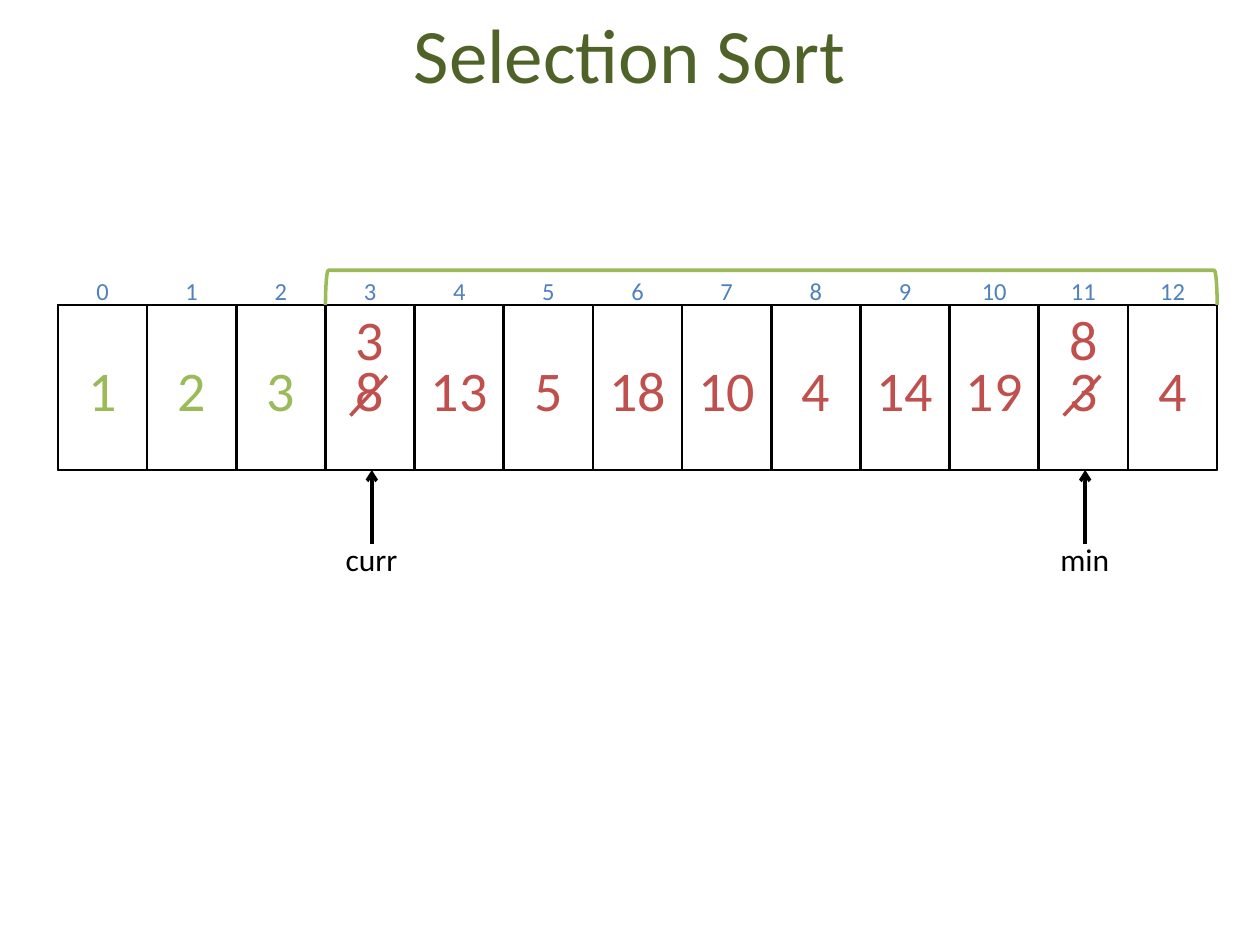
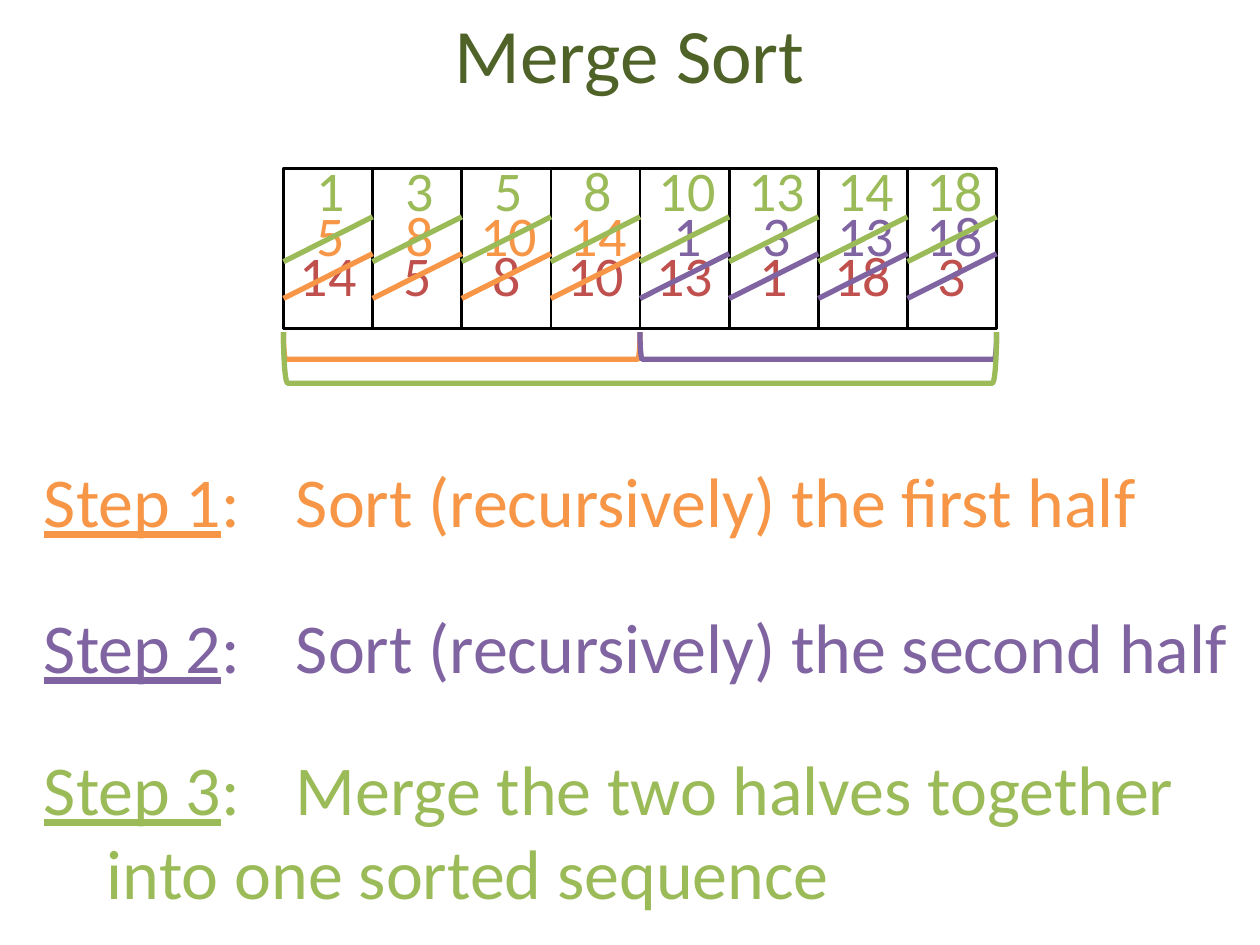
from dataclasses import dataclass

from pptx import Presentation
from pptx.dml.color import RGBColor
from pptx.enum.shapes import MSO_CONNECTOR, MSO_SHAPE
from pptx.enum.text import MSO_ANCHOR, MSO_AUTO_SIZE, PP_ALIGN
from pptx.oxml.ns import qn
from pptx.util import Inches, Pt
from lxml import etree

STRAIGHT = MSO_CONNECTOR.STRAIGHT
RECTANGLE, LEFT_BRACKET = MSO_SHAPE.RECTANGLE, MSO_SHAPE.LEFT_BRACKET
MIDDLE = MSO_ANCHOR.MIDDLE
GROW = MSO_AUTO_SIZE.SHAPE_TO_FIT_TEXT
LEFT, CENTER = PP_ALIGN.LEFT, PP_ALIGN.CENTER

FONT = "Calibri"
COLORS = {
    "title": "4F6228",
    "black": "000000",
    "index": "4F81BD",
    "unsorted": "C0504D",
    "sorted": "9BBB59",
    "first": "F79646",
    "second": "8064A2",
}
NUMBER_HEIGHT = 0.64
INDEX_HEIGHT = 0.34


@dataclass
class Box:
    """A rectangle in inches."""
    left: float
    top: float
    width: float
    height: float

    @property
    def bottom(self):
        """Give the lower edge."""
        return self.top + self.height

    def at(self, across, down):
        """Give the point at these shares of the width and height."""
        return self.left + across * self.width, self.top + down * self.height

    def inner(self, left, top, width, height):
        """Give the inner box at these shares of the width and height."""
        return Box(*self.at(left, top), width * self.width, height * self.height)

    def columns(self, count):
        """Divide the box into equal columns."""
        return [self.inner(index / count, 0, 1 / count, 1) for index in range(count)]

    def lengths(self):
        """Give left, top, width and height as slide lengths."""
        return [Inches(value) for value in (self.left, self.top, self.width, self.height)]


SLIDE_BOX = Box(0, 0, 10, 7.5)


def color(name):
    """Look up a colour by its name."""
    return RGBColor.from_string(COLORS[name])


def add_run(paragraph, text, size, color_name, underline=None):
    """Append one formatted run."""
    run = paragraph.add_run()
    run.text = text
    run.font.name = FONT
    run.font.size = Pt(size)
    run.font.color.rgb = color(color_name)
    run.font.underline = underline


def add_label(shapes, box, size, color_name, text="", alignment=CENTER, wrap=True):
    """Add a text box and return its paragraph."""
    frame = shapes.add_textbox(*box.lengths()).text_frame
    frame.word_wrap = wrap
    frame.auto_size = GROW
    paragraph = frame.paragraphs[0]
    paragraph.alignment = alignment
    if text:
        add_run(paragraph, text, size, color_name)
    return paragraph


def add_outline(shapes, kind, box, color_name, width):
    """Add an unfilled preset shape."""
    shape = shapes.add_shape(kind, *box.lengths())
    shape.shadow.inherit = False
    shape.fill.background()
    shape.line.color.rgb = color(color_name)
    shape.line.width = Pt(width)
    return shape


def add_line(shapes, start, end, color_name, width, arrow=False):
    """Add a straight line, with an arrowhead at its end if asked."""
    points = [Inches(value) for value in (*start, *end)]
    connector = shapes.add_connector(STRAIGHT, *points)
    connector.line.color.rgb = color(color_name)
    connector.line.width = Pt(width)
    properties = connector._element.spPr
    if arrow:
        etree.SubElement(properties.find(qn("a:ln")), qn("a:tailEnd"), type="arrow")
    etree.SubElement(properties, qn("a:effectLst"))


def add_bracket(shapes, box, color_name, width, rotation):
    """Add a bracket lying on its side that fills the box."""
    upright = Box(box.left + (box.width - box.height) / 2,
                  box.top + (box.height - box.width) / 2, box.height, box.width)
    add_outline(shapes, LEFT_BRACKET, upright, color_name, width).rotation = rotation


def add_titled_slide(presentation, text):
    """Add a slide with the shared title style."""
    slide = presentation.slides.add_slide(presentation.slide_layouts[5])
    title = slide.shapes.title
    title.left, title.top, title.width, title.height = Box(0.5, -0.21, 9, 1.25).lengths()
    title.text_frame.vertical_anchor = MIDDLE
    paragraph = title.text_frame.paragraphs[0]
    paragraph.alignment = CENTER
    add_run(paragraph, text, 44, "title")
    return slide


def add_array(shapes, box, count):
    """Draw the framed array and return its cells."""
    add_outline(shapes, RECTANGLE, box, "black", 1.5)
    cells = box.columns(count)
    for cell in cells:
        add_outline(shapes, RECTANGLE, cell, "black", 1.5)
    return cells


def add_number(shapes, cell, down, number, color_name, shift=0):
    """Write a number in a cell, at a share of the cell's height."""
    left, top = cell.at(shift, down)
    box = Box(left, top, cell.width, NUMBER_HEIGHT)
    add_label(shapes, box, 32, color_name, str(number))


def add_indices(shapes, cells):
    """Write each cell's index above it."""
    for index, cell in enumerate(cells):
        box = Box(cell.left, cell.top - 0.28, cell.width, INDEX_HEIGHT)
        add_label(shapes, box, 14, "index", str(index))


def add_pointer(shapes, cell, name):
    """Point from a name below the array up to a cell."""
    group = shapes.add_group_shape().shapes
    add_line(group, cell.at(0.52, 1.45), cell.at(0.52, 1), "black", 2, arrow=True)
    label = Box(cell.left + 0.06, cell.bottom + 0.51, 0.61, 0.4)
    add_label(group, label, 18, "black", name, wrap=False)


def add_swap(shapes, cell, number):
    """Strike out a cell's number and write the new one above."""
    add_number(shapes, cell, -0.04, number, "unsorted")
    add_line(shapes, cell.at(0.28, 0.67), cell.at(0.69, 0.43), "unsorted", 2)


def add_merge_row(shapes, cells, numbers, color_names, number_down, strike_down):
    """Strike out the row below and write the next row of numbers."""
    for cell, number, color_name in zip(cells, numbers, color_names):
        add_line(shapes, cell.at(1, strike_down), cell.at(0, strike_down + 0.28),
                 color_name, 3)
        add_number(shapes, cell, number_down, number, color_name, shift=0.03)


def add_step(shapes, box, number, color_name, lines):
    """Write one step, with its name underlined."""
    paragraph = add_label(shapes, box, 40, color_name, alignment=LEFT)
    add_run(paragraph, f"Step {number}", 40, color_name, underline=True)
    add_run(paragraph, f": \t{lines[0]}", 40, color_name)
    for line in lines[1:]:
        paragraph.add_line_break()
        add_run(paragraph, f"\t{line}", 40, color_name)


def build_selection_sort(presentation):
    """Show one swap of a selection sort."""
    numbers = [1, 2, 3, 8, 13, 5, 18, 10, 4, 14, 19, 3, 4]
    current, minimum = 3, 11
    shapes = add_titled_slide(presentation, "Selection Sort").shapes
    array = Box(0.46, 2.42, 9.2, 1.31)
    cells = add_array(shapes, array, len(numbers))
    for index, (cell, number) in enumerate(zip(cells, numbers)):
        add_number(shapes, cell, 0.27, number, "sorted" if index < current else "unsorted")
    start = current / len(numbers)
    add_bracket(shapes, array.inner(start, -0.21, 1 - start, 0.21), "sorted", 2, 90)
    add_indices(shapes, cells)
    for index, other, name in ((current, minimum, "curr"), (minimum, current, "min")):
        add_pointer(shapes, cells[index], name)
        add_swap(shapes, cells[index], numbers[other])


def build_merge_sort(presentation):
    """Show the halves and the merged result of a merge sort."""
    numbers = [14, 5, 8, 10, 13, 1, 18, 3]
    half = len(numbers) // 2
    halves = sorted(numbers[:half]) + sorted(numbers[half:])
    shapes = add_titled_slide(presentation, "Merge Sort").shapes
    array = Box(2.25, 1.34, 5.66, 1.27)
    cells = add_array(shapes, array, len(numbers))
    for cell, number in zip(cells, numbers):
        add_number(shapes, cell, 0.41, number, "unsorted")
    add_merge_row(shapes, cells, halves, ["first"] * half + ["second"] * half, 0.16, 0.53)
    add_merge_row(shapes, cells, sorted(numbers), ["sorted"] * len(numbers), -0.12, 0.3)
    brackets = [("first", 0, 0.5, 0.17), ("second", 0.5, 0.5, 0.17), ("sorted", 0, 1, 0.32)]
    for color_name, left, width, height in brackets:
        add_bracket(shapes, array.inner(left, 1.02, width, height), color_name, 3, 270)
    steps = [
        ("first", 3.58, 0.77, ["Sort (recursively) the first half"]),
        ("second", 4.74, 0.77, ["Sort (recursively) the second half"]),
        ("sorted", 5.87, 1.45, ["Merge the two halves together", "into one sorted sequence"]),
    ]
    for number, (color_name, top, height, lines) in enumerate(steps, 1):
        box = Box(0.25, top, SLIDE_BOX.width - 0.25, height)
        add_step(shapes, box, number, color_name, lines)


def main():
    """Build and save the presentation."""
    presentation = Presentation()
    presentation.slide_width = Inches(SLIDE_BOX.width)
    presentation.slide_height = Inches(SLIDE_BOX.height)
    build_selection_sort(presentation)
    build_merge_sort(presentation)
    presentation.save("out.pptx")


main()
